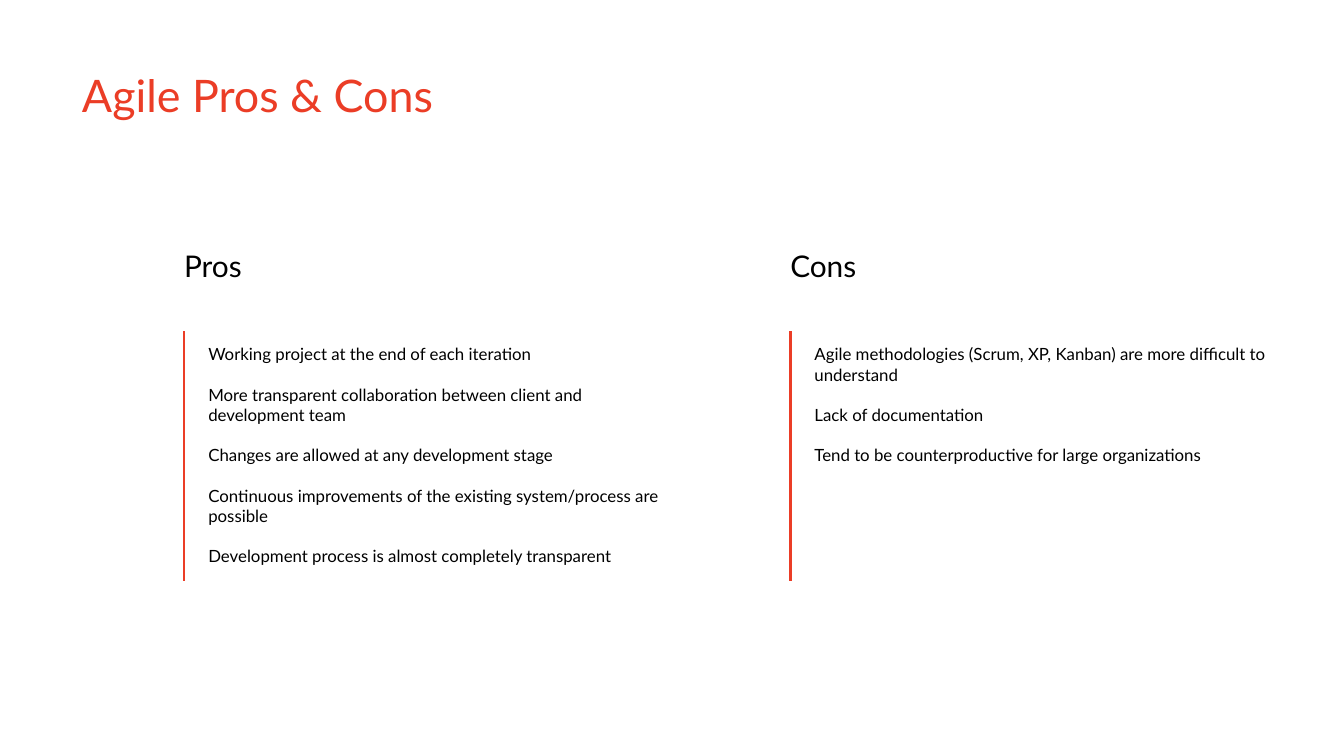
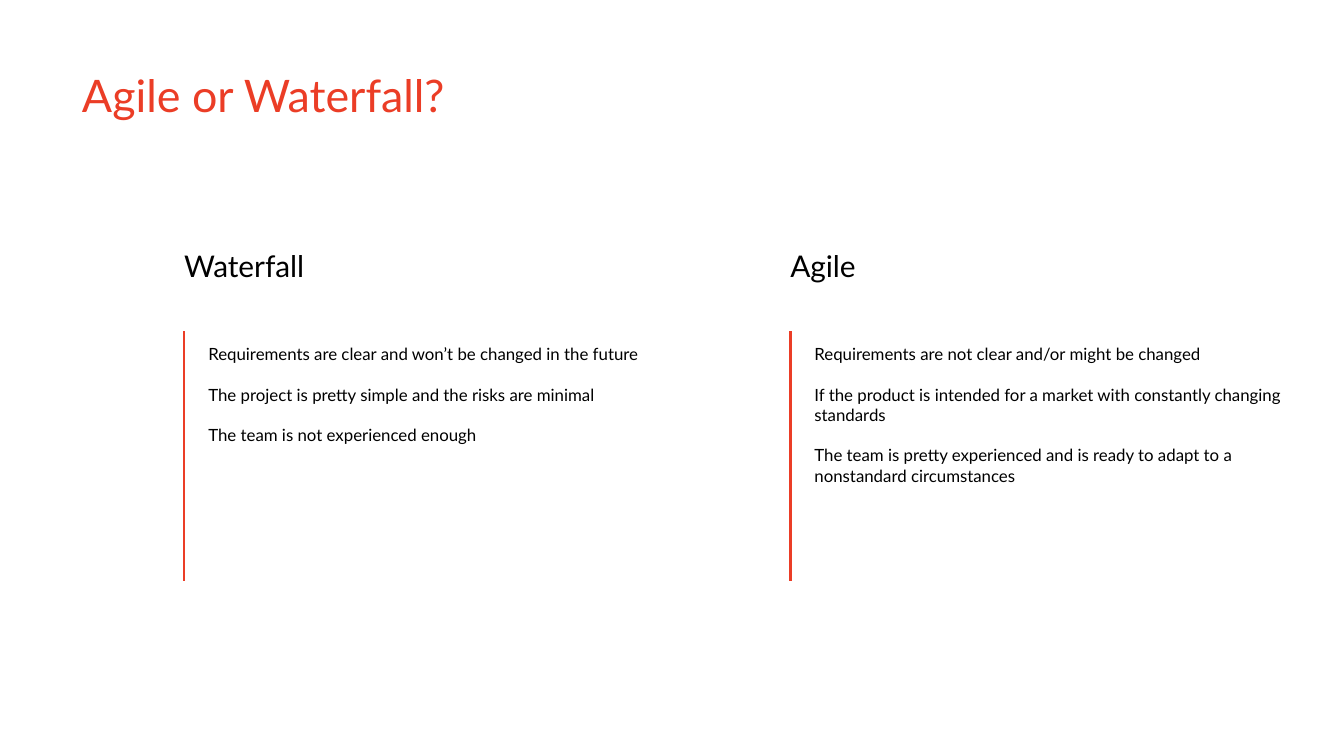
"""Build two slides that compare ways of working in two ruled columns."""
from dataclasses import dataclass

from lxml.etree import SubElement
from pptx import Presentation
from pptx.dml.color import RGBColor
from pptx.enum.shapes import MSO_CONNECTOR
from pptx.enum.text import MSO_ANCHOR, MSO_AUTO_SIZE, PP_ALIGN
from pptx.oxml.ns import qn
from pptx.util import Inches, Pt

RED = RGBColor(0xEB, 0x3D, 0x26)
BLACK = RGBColor(0, 0, 0)
FONT = "Lato"
SLIDE_WIDTH = Inches(10)
SLIDE_HEIGHT = SLIDE_WIDTH * 9 // 16
COMPARISON_LAYOUT = 4
COLUMN_LEFTS = (1.37, 5.88)
LIST_WIDTHS = (3.6, 3.73)
HEADING_TOP = 1.74
LIST_TOP, LIST_INDENT = 2.46, 0.18
RULE_BOTTOM = 4.32


@dataclass(frozen=True)
class Box:
    """Position and size in inches."""
    left: float
    top: float
    width: float
    height: float


@dataclass(frozen=True)
class Style:
    """Look of the text in a placeholder."""
    size: float
    color: RGBColor
    gap: float = 0
    right_inset: float = 0.1


@dataclass(frozen=True)
class Column:
    """A heading with its points and the height of their list."""
    heading: str
    height: float
    points: tuple[str, ...]


@dataclass(frozen=True)
class Page:
    """A slide title with its two columns."""
    title: str
    columns: tuple[Column, Column]


TITLE_BOX = Box(0.61, 0.4, 2.99, 0.61)
TITLE = Style(24, RED, right_inset=0)
HEADING = Style(16, BLACK)
LIST = Style(9, BLACK, gap=10.8)

PAGES = (
    Page("Agile Pros & Cons", (
        Column("Pros", 1.87, (
            "Working project at the end of each iteration",
            "More transparent collaboration between client and development team",
            "Changes are allowed at any development stage",
            "Continuous improvements of the existing system/process are possible",
            "Development process is almost completely transparent",
        )),
        Column("Cons", 1.11, (
            "Agile methodologies (Scrum, XP, Kanban) are more difficult to understand",
            "Lack of documentation",
            "Tend to be counterproductive for large organizations",
        )),
    )),
    Page("Agile or Waterfall?", (
        Column("Waterfall", 0.96, (
            "Requirements are clear and won’t be changed in the future",
            "The project is pretty simple and the risks are minimal",
            "The team is not experienced enough",
        )),
        Column("Agile", 1.26, (
            "Requirements are not clear and/or might be changed",
            "If the product is intended for a market with constantly changing standards",
            "The team is pretty experienced and is ready to adapt to a nonstandard circumstances",
        )),
    )),
)


def set_all(target, values: dict) -> None:
    """Set each attribute named in values."""
    for name, value in values.items():
        setattr(target, name, value)


def fill_placeholder(sp, box: Box, style: Style, lines: tuple[str, ...]) -> None:
    """Move a placeholder and write one plain paragraph for each line."""
    set_all(sp, {
        "left": Inches(box.left), "top": Inches(box.top),
        "width": Inches(box.width), "height": Inches(box.height),
    })
    tf = sp.text_frame
    set_all(tf, {
        "margin_left": 0, "margin_top": Inches(0.1),
        "margin_right": Inches(style.right_inset), "margin_bottom": Inches(0.1),
        "word_wrap": True, "auto_size": MSO_AUTO_SIZE.SHAPE_TO_FIT_TEXT,
        "vertical_anchor": MSO_ANCHOR.TOP,
    })
    for i, line in enumerate(lines):
        p = tf.add_paragraph() if i else tf.paragraphs[0]
        set_all(p, {
            "alignment": PP_ALIGN.LEFT, "space_after": Pt(0),
            "space_before": Pt(style.gap if i else 0),
        })
        pPr = p._p.get_or_add_pPr()
        pPr.set("marL", "0")
        pPr.set("indent", "0")
        SubElement(pPr, qn("a:buNone"))
        r = p.add_run()
        r.text = line
        set_all(r.font, {"name": FONT, "size": Pt(style.size), "bold": False})
        r.font.color.rgb = style.color


def add_rule(slide, left: float) -> None:
    """Draw the red vertical line beside a list."""
    x = Inches(left)
    line = slide.shapes.add_connector(
        MSO_CONNECTOR.STRAIGHT, x, Inches(RULE_BOTTOM), x, Inches(LIST_TOP))
    line.line.color.rgb = RED
    line.line.width = Pt(1.5)
    SubElement(line._element.spPr, qn("a:effectLst"))


def add_page(prs, page: Page) -> None:
    """Add a slide with a title and two columns."""
    slide = prs.slides.add_slide(prs.slide_layouts[COMPARISON_LAYOUT])
    title, *bodies = slide.placeholders
    fill_placeholder(title, TITLE_BOX, TITLE, (page.title,))
    pairs = zip(bodies[::2], bodies[1::2])
    for column, left, width, (head, body) in zip(
            page.columns, COLUMN_LEFTS, LIST_WIDTHS, pairs):
        fill_placeholder(head, Box(left, HEADING_TOP, 1.24, 0.47), HEADING,
                         (column.heading,))
        fill_placeholder(body, Box(left + LIST_INDENT, LIST_TOP, width, column.height),
                         LIST, column.points)
        add_rule(slide, left)


def main() -> None:
    """Build and save the presentation."""
    prs = Presentation()
    set_all(prs, {"slide_width": SLIDE_WIDTH, "slide_height": SLIDE_HEIGHT})
    for page in PAGES:
        add_page(prs, page)
    prs.save("out.pptx")


if __name__ == "__main__":
    main()
